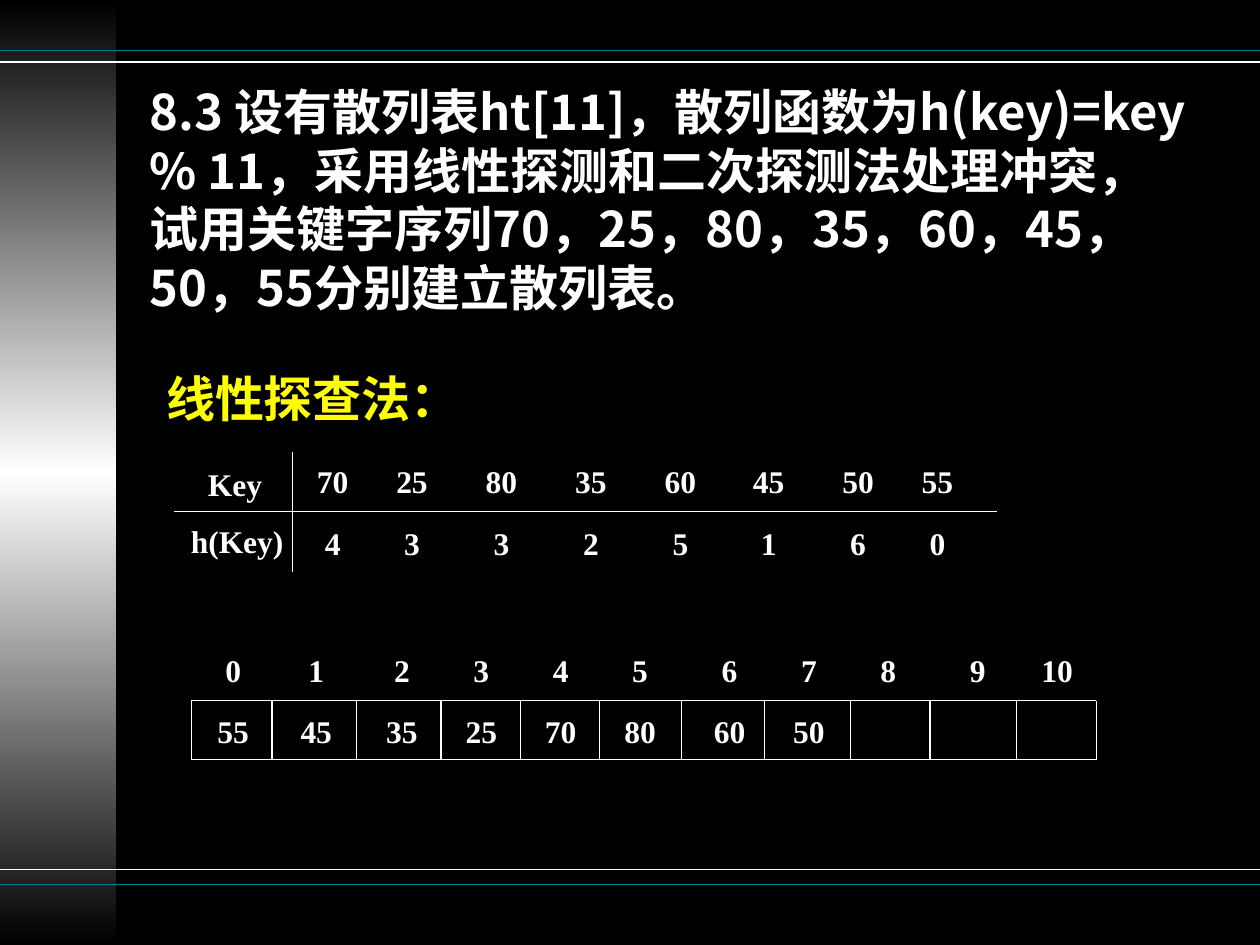
from copy import deepcopy

from lxml.etree import SubElement
from pptx import Presentation
from pptx.dml.color import RGBColor
from pptx.enum.shapes import MSO_CONNECTOR, MSO_SHAPE
from pptx.enum.text import MSO_ANCHOR, PP_ALIGN
from pptx.oxml.ns import qn
from pptx.util import Inches, Pt

COLORS = {"black": "000000", "white": "FFFFFF", "teal": "008080", "yellow": "FFFF00"}
CHINESE_FONT = "Noto Sans CJK SC"
NUMBER_FONT = "Times New Roman"
QUESTION = (
    "8.3 设有散列表ht[11]，散列函数为h(key)=key % 11，采用线性探测和二次探测法"
    "处理冲突，试用关键字序列70，25，80，35，60，45，50，55分别建立散列表。"
)
KEYS = [70, 25, 80, 35, 60, 45, 50, 55]
KEY_OFFSETS = [1.1, 1.73, 2.44, 3.15, 3.86, 4.56, 5.27, 5.9]
SLOTS = [55, 45, 35, 25, 70, 80, 60, 50, None, None, None]
SLOT_OFFSETS = [0.17, 0.83, 1.51, 2.14, 2.77, 3.4, 4.11, 4.74, 5.37, 6.08, 6.71]
SLOT_EDGES = [0, 0.64, 1.31, 1.98, 2.61, 3.24, 3.89, 4.55, 5.23, 5.86, 6.55, 7.18]


def color(name):
    """Return the named colour."""
    return RGBColor.from_string(COLORS[name])


def add_line(page, start, end, name="white", width=0.75):
    """Draw a plain straight line between two points in inches."""
    points = [Inches(value) for value in (*start, *end)]
    line = page.shapes.add_connector(MSO_CONNECTOR.STRAIGHT, *points)
    line.line.color.rgb = color(name)
    line.line.width = Pt(width)
    SubElement(line._element.spPr, qn("a:effectLst"))


def add_text(page, box, text, size, font, name="white", margins=(0, 0)):
    """Place one bold paragraph in a wrapping box and return its frame."""
    frame = page.shapes.add_textbox(*[Inches(value) for value in box]).text_frame
    frame.word_wrap = True
    frame.margin_left = frame.margin_right = Inches(margins[0])
    frame.margin_top = frame.margin_bottom = Inches(margins[1])
    span = frame.paragraphs[0].add_run()
    span.text = text
    span.font.size = Pt(size)
    span.font.bold = True
    span.font.name = font
    span.font.color.rgb = color(name)
    SubElement(span.font._element, qn("a:ea")).set("typeface", font)
    return frame


def add_heading(page, box, text, name="white"):
    """Place a large Chinese paragraph with tight line spacing."""
    frame = add_text(page, box, text, 28, CHINESE_FONT, name, (0.1, 0.05))
    frame.paragraphs[0].line_spacing = Pt(33.4)
    return frame


def add_label(page, left, top, text, width=0.32, align=PP_ALIGN.CENTER):
    """Place a short table entry."""
    frame = add_text(page, (left, top, width, 0.3), str(text), 18, NUMBER_FONT)
    frame.paragraphs[0].alignment = align


def add_backdrop(page, box):
    """Draw the shaded side band and the double rules."""
    left, top, width, height = box
    page.background.fill.solid()
    page.background.fill.fore_color.rgb = color("black")
    band = page.shapes.add_shape(
        MSO_SHAPE.RECTANGLE, Inches(left), Inches(top), Inches(0.92), Inches(height)
    )
    band.shadow.inherit = False
    band.line.fill.background()
    band.fill.gradient()
    band.fill.gradient_angle = 90
    stop_list = band._element.spPr.find(qn("a:gradFill")).find(qn("a:gsLst"))
    stop_list.append(deepcopy(stop_list[0]))
    stops = zip(band.fill.gradient_stops, (0, 0.5, 1), ("black", "white", "black"))
    for stop, position, name in stops:
        stop.position = position
        stop.color.rgb = color(name)
    for offset, name in ((0.4, "teal"), (0.49, "white"), (6.9, "white"), (7.02, "teal")):
        add_line(page, (left, top + offset), (left + width, top + offset), name, 1)


def add_key_table(page, box):
    """Draw the keys above their hash values."""
    left, top, width, height = box
    middle, divider = top + 0.47, left + 0.94
    add_line(page, (left, middle), (left + width, middle))
    add_line(page, (divider, top), (divider, top + height))
    add_label(page, left + 0.15, top + 0.1, "Key", 0.55, PP_ALIGN.RIGHT)
    add_label(page, left, top + 0.55, "h(Key)", 0.87, PP_ALIGN.RIGHT)
    for offset, key in zip(KEY_OFFSETS, KEYS):
        add_label(page, left + offset, top + 0.08, key)
        add_label(page, left + offset, top + 0.57, key % 11)


def add_hash_table(page, box):
    """Draw the numbered slots and the keys they hold."""
    left, top, width, height = box
    for edge in (top, top + height):
        add_line(page, (left, edge), (left + width, edge))
    for offset in SLOT_EDGES:
        add_line(page, (left + offset, top), (left + offset, top + height))
    for index, (offset, key) in enumerate(zip(SLOT_OFFSETS, SLOTS)):
        add_label(page, left + offset, top - 0.39, index)
        if key is not None:
            add_label(page, left + offset, top + 0.09, key)


def main():
    """Build and save the deck."""
    deck = Presentation()
    deck.slide_width, deck.slide_height = Inches(10), Inches(7.5)
    page = deck.slides.add_slide(deck.slide_layouts[6])
    add_backdrop(page, (0, 0, 10, 7.5))
    question = add_heading(page, (1.09, 0.67, 8.48, 1.82), QUESTION)
    question.vertical_anchor = MSO_ANCHOR.MIDDLE
    add_heading(page, (1.22, 2.88, 3.08, 0.57), "线性探查法：", "yellow")
    add_key_table(page, (1.38, 3.59, 6.53, 0.95))
    add_hash_table(page, (1.52, 5.56, 7.18, 0.47))
    deck.save("out.pptx")


if __name__ == "__main__":
    main()
